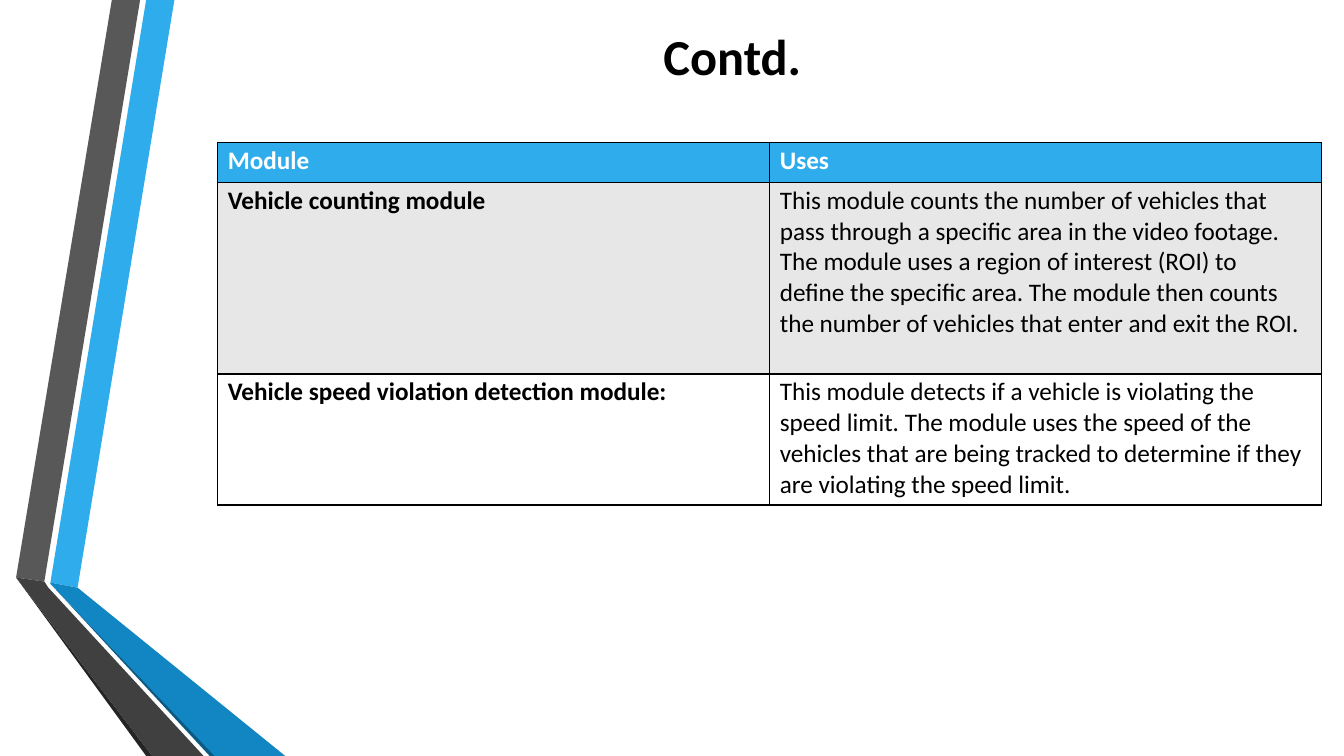
from dataclasses import dataclass

from lxml import etree
from pptx import Presentation
from pptx import util as u
from pptx.dml.color import RGBColor
from pptx.enum import text
from pptx.oxml import ns

BLACK = RGBColor(0, 0, 0)
WHITE = RGBColor(255, 255, 255)
SKY = RGBColor(0x2F, 0xAC, 0xEB)
BLUE = RGBColor(0x12, 0x86, 0xC3)
NAVY = RGBColor(0x0C, 0x5A, 0x82)
GREY = RGBColor(0x58, 0x58, 0x58)
DARK = RGBColor(0x40, 0x40, 0x40)
COAL = RGBColor(0x25, 0x25, 0x25)
PALE = RGBColor(0xE7, 0xE7, 0xE7)
FONT = "Calibri"


@dataclass
class Band:
    color: RGBColor
    points: list[tuple[float, float]]


@dataclass
class Row:
    module: str
    uses: str
    height: float
    fill: RGBColor
    ink: RGBColor = BLACK
    head: bool = False


BANDS = [
    Band(SKY, [(1.73, 0), (1.45, 0), (0.5, 5.78), (0.77, 5.83)]),
    Band(GREY, [(1.39, 0), (1.11, 0), (0.16, 5.73), (0.44, 5.77)]),
    Band(COAL, [(0.16, 5.73), (1.45, 7.5), (1.51, 7.5)]),
    Band(NAVY, [(0.5, 5.79), (2.08, 7.5), (2.14, 7.5)]),
    Band(BLUE, [(0.5, 5.78), (0.5, 5.79), (2.13, 7.5), (2.83, 7.5), (0.77, 5.83)]),
    Band(DARK, [(0.16, 5.73), (1.51, 7.5), (2.02, 7.5), (0.48, 5.83), (0.44, 5.77)]),
]

ROWS = [
    Row("Module", "Uses", 0.4, SKY, WHITE, True),
    Row(
        "Vehicle counting module",
        "This module counts the number of vehicles that pass through a specific "
        "area in the video footage. The module uses a region of interest (ROI) to "
        "define the specific area. The module then counts the number of vehicles "
        "that enter and exit the ROI.",
        1.9,
        PALE,
    ),
    Row(
        "Vehicle speed violation detection module:",
        "This module detects if a vehicle is violating the speed limit. The module "
        "uses the speed of the vehicles that are being tracked to determine if "
        "they are violating the speed limit.",
        1.3,
        WHITE,
    ),
]


def draw_band(slide, band: Band) -> None:
    first, *rest = [(u.Inches(x), u.Inches(y)) for x, y in band.points]
    path = slide.shapes.build_freeform(*first)
    path.add_line_segments(rest, close=True)
    shape = path.convert_to_shape()
    shape.shadow.inherit = False
    shape.fill.solid()
    shape.fill.fore_color.rgb = band.color
    shape.line.fill.background()


def style(par, size: float, color: RGBColor, bold: bool, gap: float) -> None:
    par.space_before = u.Pt(gap)
    font = par.font
    font.name = FONT
    font.size = u.Pt(size)
    font.bold = bold
    font.color.rgb = color


def add_title(slide) -> None:
    box = slide.shapes.add_textbox(
        u.Inches(0.84), u.Inches(0.24), u.Inches(11.66), u.Inches(1.1)
    )
    frame = box.text_frame
    frame.word_wrap = True
    frame.margin_left = u.Inches(5.74)
    frame.margin_top = u.Inches(0.01)
    frame.margin_right = frame.margin_bottom = 0
    frame.vertical_anchor = text.MSO_ANCHOR.TOP
    frame.text = "Contd."
    style(frame.paragraphs[0], 36, BLACK, True, 1)


def add_edges(cell) -> None:
    props = cell._tc.get_or_add_tcPr()
    for side in "LRTB":
        line = etree.SubElement(props, ns.qn(f"a:ln{side}"), w=str(u.Pt(0.96)))
        fill = etree.SubElement(line, ns.qn("a:solidFill"))
        etree.SubElement(fill, ns.qn("a:srgbClr"), val=str(BLACK))


def fill_cell(cell, words: str, row: Row, bold: bool) -> None:
    add_edges(cell)
    cell.fill.solid()
    cell.fill.fore_color.rgb = row.fill
    cell.margin_left = u.Inches(0.1)
    cell.margin_top = u.Inches(0.03)
    cell.margin_right = u.Inches(0.18)
    cell.margin_bottom = 0
    cell.text = words
    style(cell.text_frame.paragraphs[0], 18, row.ink, bold, 2.5)


def add_grid(slide) -> None:
    high = sum(row.height for row in ROWS)
    table = slide.shapes.add_table(
        len(ROWS), 2, u.Inches(2.16), u.Inches(1.41), u.Inches(10.95), u.Inches(high)
    ).table
    for line, row in zip(table.rows, ROWS):
        line.height = u.Inches(row.height)
        fill_cell(line.cells[0], row.module, row, True)
        fill_cell(line.cells[1], row.uses, row, row.head)


def main() -> None:
    deck = Presentation()
    deck.slide_width = u.Inches(13.33)
    deck.slide_height = u.Inches(7.5)
    slide = deck.slides.add_slide(deck.slide_layouts[6])
    for band in BANDS:
        draw_band(slide, band)
    add_title(slide)
    add_grid(slide)
    deck.save("out.pptx")


if __name__ == "__main__":
    main()
